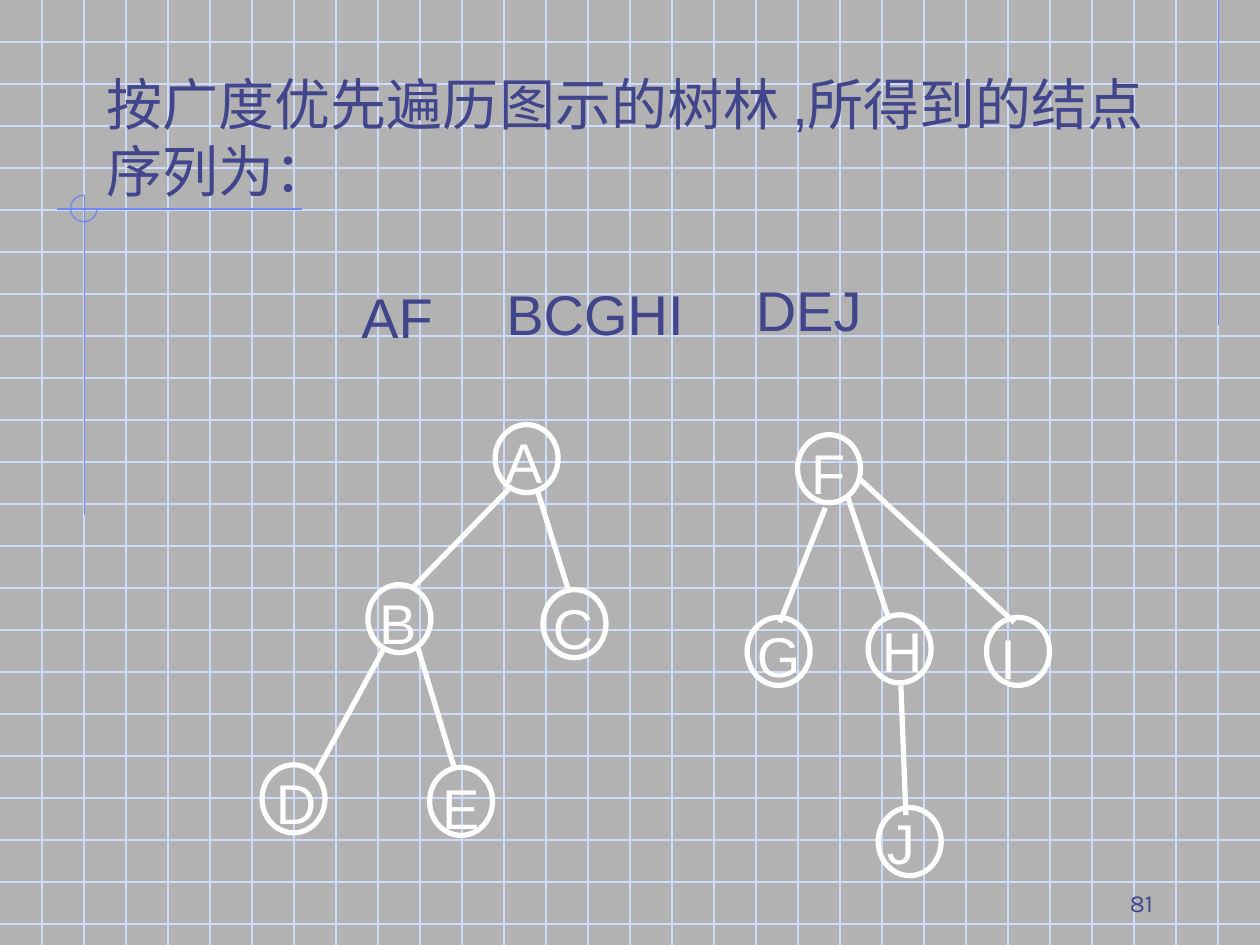
"""Build a slide showing the breadth-first traversal of a forest."""
import pptx
import pptx.dml.color
import pptx.enum.shapes
import pptx.enum.text
import pptx.oxml
import pptx.oxml.ns
import pptx.util

Inches = pptx.util.Inches
RGBColor = pptx.dml.color.RGBColor
Align = pptx.enum.text.PP_ALIGN
Anchor = pptx.enum.text.MSO_ANCHOR
AutoSize = pptx.enum.text.MSO_AUTO_SIZE
Shape = pptx.enum.shapes.MSO_SHAPE

GRAY = RGBColor(0xB2, 0xB2, 0xB2)
GRID = RGBColor(0xCF, 0xDB, 0xFD)
ACCENT = RGBColor(0x6F, 0x89, 0xF7)
WHITE = RGBColor(0xFF, 0xFF, 0xFF)
INDIGO = RGBColor(0x40, 0x45, 0x8C)

WIDTH, HEIGHT = 10, 7.5
CELLS_PER_INCH = 3
NODE_WIDTH, NODE_HEIGHT = 0.5, 0.54
LABEL_HEIGHT = 0.64

TITLE = "按广度优先遍历图示的树林 ,所得到的结点序列为："
TITLE_BOX = (0.75, 0.5, 8.67, 1.17)
PAGE_NUMBER = "81"
PAGE_NUMBER_BOX = (7.17, 6.83, 2.08, 0.5)
LEVELS = [
    ("AF", 2.77, 2.19, 0.77),
    ("BCGHI", 3.92, 2.17, 1.61),
    ("DEJ", 5.9, 2.14, 1.04),
]
ACCENT_LINES = [
    (9.67, 0, 9.67, 2.58),
    (2.4, 1.66, 0.45, 1.66),
    (0.67, 1.55, 0.67, 4.09),
]
ARC_BOX = (0.56, 1.55, 0.21, 0.21)
EDGES = {
    "AB": (4.05, 3.87, 3.28, 4.66),
    "BD": (3.04, 5.16, 2.5, 6.15),
    "BE": (3.31, 5.12, 3.61, 6.11),
    "AC": (4.27, 3.91, 4.51, 4.68),
    "FG": (6.55, 4.03, 6.19, 4.94),
    "FH": (6.73, 3.95, 7.05, 4.9),
    "FI": (6.81, 3.79, 8.05, 4.94),
    "HJ": (7.15, 5.44, 7.19, 6.47),
}
NODES = {
    "A": ((3.93, 3.37), (3.91, 3.34, 0.49)),
    "B": ((2.92, 4.64), (2.91, 4.62, 0.49)),
    "D": ((2.08, 6.07), (2.09, 6.05, 0.52)),
    "E": ((3.41, 6.09), (3.41, 6.09, 0.49)),
    "C": ((4.31, 4.68), (4.29, 4.66, 0.52)),
    "G": ((5.93, 4.9), (5.91, 4.88, 0.54)),
    "F": ((6.33, 3.45), (6.34, 3.43, 0.47)),
    "H": ((6.89, 4.88), (6.9, 4.84, 0.52)),
    "I": ((7.83, 4.9), (7.84, 4.9, 0.32)),
    "J": ((6.97, 6.41), (6.94, 6.37, 0.42)),
}


def add_line(slide, ends, color, weight):
    line = slide.shapes.add_connector(
        pptx.enum.shapes.MSO_CONNECTOR.STRAIGHT, *map(Inches, ends))
    line.line.color.rgb = color
    line.line.width = pptx.util.Pt(weight)
    properties = line._element.spPr
    properties.append(pptx.oxml.parse_xml(
        "<a:effectLst %s/>" % pptx.oxml.ns.nsdecls("a")))


def add_outline(slide, preset, box, color, weight):
    shape = slide.shapes.add_shape(preset, *map(Inches, box))
    shape.shadow.inherit = False
    shape.fill.background()
    shape.line.color.rgb = color
    shape.line.width = pptx.util.Pt(weight)
    return shape


def add_text(slide, text, box, color, size=32, font="Arial", wrap=False,
             auto_size=AutoSize.SHAPE_TO_FIT_TEXT, anchor=Anchor.TOP, align=Align.LEFT):
    frame = slide.shapes.add_textbox(*map(Inches, box)).text_frame
    frame.text = text
    frame.word_wrap = wrap
    frame.auto_size = auto_size
    frame.vertical_anchor = anchor
    paragraph = frame.paragraphs[0]
    paragraph.alignment = align
    for run in paragraph.runs:
        run.font.name = font
        run.font.size = pptx.util.Pt(size)
        run.font.color.rgb = color


def add_backdrop(slide):
    slide.background.fill.solid()
    slide.background.fill.fore_color.rgb = GRAY
    for row in range(1, int(HEIGHT * CELLS_PER_INCH) + 1):
        y = row / CELLS_PER_INCH
        add_line(slide, (0, y, WIDTH, y), GRID, 0.75)
    for column in range(1, WIDTH * CELLS_PER_INCH):
        x = column / CELLS_PER_INCH
        add_line(slide, (x, 0, x, HEIGHT), GRID, 0.75)
    for ends in ACCENT_LINES:
        add_line(slide, ends, ACCENT, 0.75)
    arc = add_outline(slide, Shape.ARC, ARC_BOX, ACCENT, 0.75)
    arc.adjustments[0] = 0
    arc.adjustments[1] = 162


def add_forest(slide):
    for ends in EDGES.values():
        add_line(slide, ends, WHITE, 3)
    for corner, _ in NODES.values():
        add_outline(slide, Shape.OVAL, (*corner, NODE_WIDTH, NODE_HEIGHT), WHITE, 3)
    for name, (_, label) in NODES.items():
        add_text(slide, name, (*label, LABEL_HEIGHT), WHITE)


def main():
    presentation = pptx.Presentation()
    presentation.slide_width = Inches(WIDTH)
    presentation.slide_height = Inches(HEIGHT)
    slide = presentation.slides.add_slide(presentation.slide_layouts[6])
    add_backdrop(slide)
    add_forest(slide)
    add_text(slide, TITLE, TITLE_BOX, INDIGO, wrap=True)
    for nodes, left, top, width in LEVELS:
        add_text(slide, nodes, (left, top, width, LABEL_HEIGHT), INDIGO)
    add_text(slide, PAGE_NUMBER, PAGE_NUMBER_BOX, INDIGO, size=14, font="Karla", wrap=True,
             auto_size=AutoSize.NONE, anchor=Anchor.BOTTOM, align=Align.RIGHT)
    presentation.save("out.pptx")


if __name__ == "__main__":
    main()
